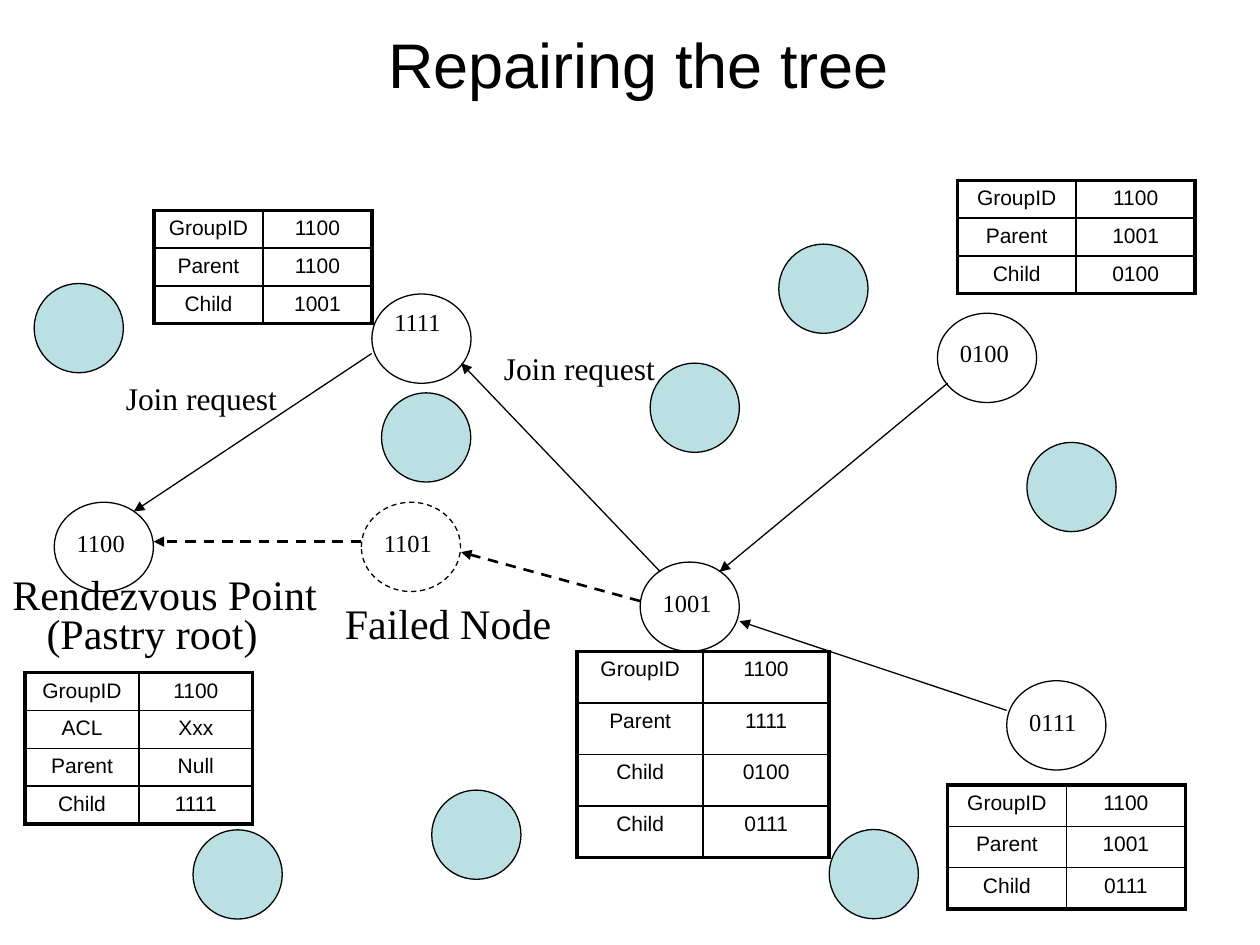
from lxml.etree import SubElement
from pptx import Presentation
from pptx.dml.color import RGBColor
from pptx.enum.dml import MSO_LINE
from pptx.enum.shapes import MSO_CONNECTOR, MSO_SHAPE
from pptx.enum.text import MSO_ANCHOR, MSO_AUTO_SIZE, PP_ALIGN
from pptx.oxml.ns import qn
from pptx.util import Pt

COLORS = {"ink": "000000", "peer": "BBE0E3"}
SANS, SERIF = "Arial", "Times New Roman"
NODE_W, NODE_H, PEER_D = 56.7, 51, 51

# id: left, top, vertical offset of the label, failed
NODES = {
    "1100": (31, 287, 11, False),
    "1101": (206.5, 287, 11, True),
    "1111": (212.5, 168, 4, False),
    "1001": (365.8, 321.2, 11.5, False),
    "0111": (575.3, 389, 11.5, False),
    "0100": (535.7, 179, 10.5, False),
}
PEERS = [(19.5, 162), (218, 224.5), (110.3, 474.2), (371.5, 207.5),
         (473.8, 474), (586.8, 252.8), (445, 139.5), (246.7, 451.5)]
DASHED_EDGES = [(365.8, 343.5, 263.5, 315.5), (206.5, 309.5, 87.8, 309.5)]
SOLID_EDGES = [(575.3, 406, 422.6, 355), (541.5, 219, 411.2, 326.7),
               (377.3, 326.7, 263.5, 207.5), (212.4, 202, 76.5, 292.3)]
CAPTIONS = [("Rendezvous Point", 0, 321.2, 188.6, 24), ("(Pastry root)", 19.5, 343.5, 135.4, 24),
            ("Failed Node", 190, 337.8, 132.5, 24),
            ("Join request", 280.8, 196, 100.8, 18), ("Join request", 64.8, 213, 100.8, 18)]
# left, top, column width, row height, rows
TABLES = [
    (88, 120.2, 62.3, 21.6, [("GroupID", "1100"), ("Parent", "1100"), ("Child", "1001")]),
    (547, 103, 68, 21.6, [("GroupID", "1100"), ("Parent", "1001"), ("Child", "0100")]),
    (329.8, 372.2, 72, 29.5,
     [("GroupID", "1100"), ("Parent", "1111"), ("Child", "0100"), ("Child", "0111")]),
    (541.4, 448.6, 68, 23.6, [("GroupID", "1100"), ("Parent", "1001"), ("Child", "0111")]),
    (14.4, 384.4, 65, 21.6,
     [("GroupID", "1100"), ("ACL", "Xxx"), ("Parent", "Null"), ("Child", "1111")]),
]


def rgb(name):
    return RGBColor.from_string(COLORS[name])


def write(tf, text, size=12, font=SANS, color="ink", align=None):
    p = tf.paragraphs[0]
    p.alignment = align
    r = p.add_run()
    r.text = text
    r.font.size, r.font.name = Pt(size), font
    r.font.color.rgb = rgb(color)


class TreeSlide:
    """Holds the slide and its line style, and draws each kind of element."""

    thin, medium, thick = 0.75, 1, 2.25

    def __init__(self, prs):
        self.s = prs.slides.add_slide(prs.slide_layouts[5])

    def title(self, text):
        sp = self.s.shapes.title
        sp.left, sp.top, sp.width, sp.height = Pt(36), Pt(6), Pt(648), Pt(60)
        sp.text_frame.vertical_anchor = MSO_ANCHOR.MIDDLE
        write(sp.text_frame, text, size=36, align=PP_ALIGN.CENTER)

    def text(self, text, x, y, w, h, size):
        tf = self.s.shapes.add_textbox(Pt(x), Pt(y), Pt(w), Pt(h)).text_frame
        tf.word_wrap = False
        tf.auto_size = MSO_AUTO_SIZE.SHAPE_TO_FIT_TEXT
        write(tf, text, size=size, font=SERIF)

    def ellipse(self, x, y, w, h, fill=None, dashed=False):
        sp = self.s.shapes.add_shape(MSO_SHAPE.OVAL, Pt(x), Pt(y), Pt(w), Pt(h))
        sp.shadow.inherit = False
        if fill:
            sp.fill.solid()
            sp.fill.fore_color.rgb = rgb(fill)
        else:
            sp.fill.background()
        self.stroke(sp.line, self.thin, dashed)

    def node(self, name, x, y, label_dy, failed):
        self.ellipse(x, y, NODE_W, NODE_H, dashed=failed)
        self.text(name, x + 5.7, y + label_dy, 42.5, 24, 14)

    def stroke(self, line, width, dashed=False):
        line.color.rgb = rgb("ink")
        line.width = Pt(width)
        if dashed:
            line.dash_style = MSO_LINE.DASH

    def arrow(self, x1, y1, x2, y2, dashed=False):
        c = self.s.shapes.add_connector(MSO_CONNECTOR.STRAIGHT, Pt(x1), Pt(y1), Pt(x2), Pt(y2))
        self.stroke(c.line, 1.5 if dashed else self.thin, dashed)
        spPr = c._element.spPr
        SubElement(spPr.find(qn("a:ln")), qn("a:tailEnd"), type="triangle")
        SubElement(spPr, qn("a:effectLst"))

    def table(self, x, y, col_w, row_h, rows):
        """Draw a grid with a thick outer frame and thin inner rules."""
        n_rows, n_cols = len(rows), len(rows[0])
        tbl = self.s.shapes.add_table(n_rows, n_cols, Pt(x), Pt(y),
                                      Pt(col_w * n_cols), Pt(row_h * n_rows)).table
        tbl.first_row = tbl.horz_banding = False
        for col in tbl.columns:
            col.width = Pt(col_w)
        for i, row in enumerate(rows):
            tbl.rows[i].height = Pt(row_h)
            for j, value in enumerate(row):
                cell = tbl.cell(i, j)
                self.borders(cell, L=j == 0, R=j == n_cols - 1, T=i == 0, B=i == n_rows - 1)
                cell.fill.background()
                write(cell.text_frame, value, align=PP_ALIGN.CENTER)

    def borders(self, cell, **outer):
        tcPr = cell._tc.get_or_add_tcPr()
        for side, is_outer in outer.items():
            width = Pt(self.thick if is_outer else self.medium)
            ln = SubElement(tcPr, qn("a:ln" + side), w=str(int(width)))
            fill = SubElement(ln, qn("a:solidFill"))
            SubElement(fill, qn("a:srgbClr"), val=COLORS["ink"])


def main():
    prs = Presentation()
    prs.slide_width, prs.slide_height = Pt(720), Pt(540)
    slide = TreeSlide(prs)
    slide.title(" Repairing the tree")
    for table in TABLES:
        slide.table(*table)
    for name, place in NODES.items():
        slide.node(name, *place)
    for x, y in PEERS:
        slide.ellipse(x, y, PEER_D, PEER_D, fill="peer")
    for edge in DASHED_EDGES:
        slide.arrow(*edge, dashed=True)
    for edge in SOLID_EDGES:
        slide.arrow(*edge)
    for text, x, y, w, size in CAPTIONS:
        slide.text(text, x, y, w, size * 1.5, size)
    prs.save("out.pptx")


if __name__ == "__main__":
    main()
